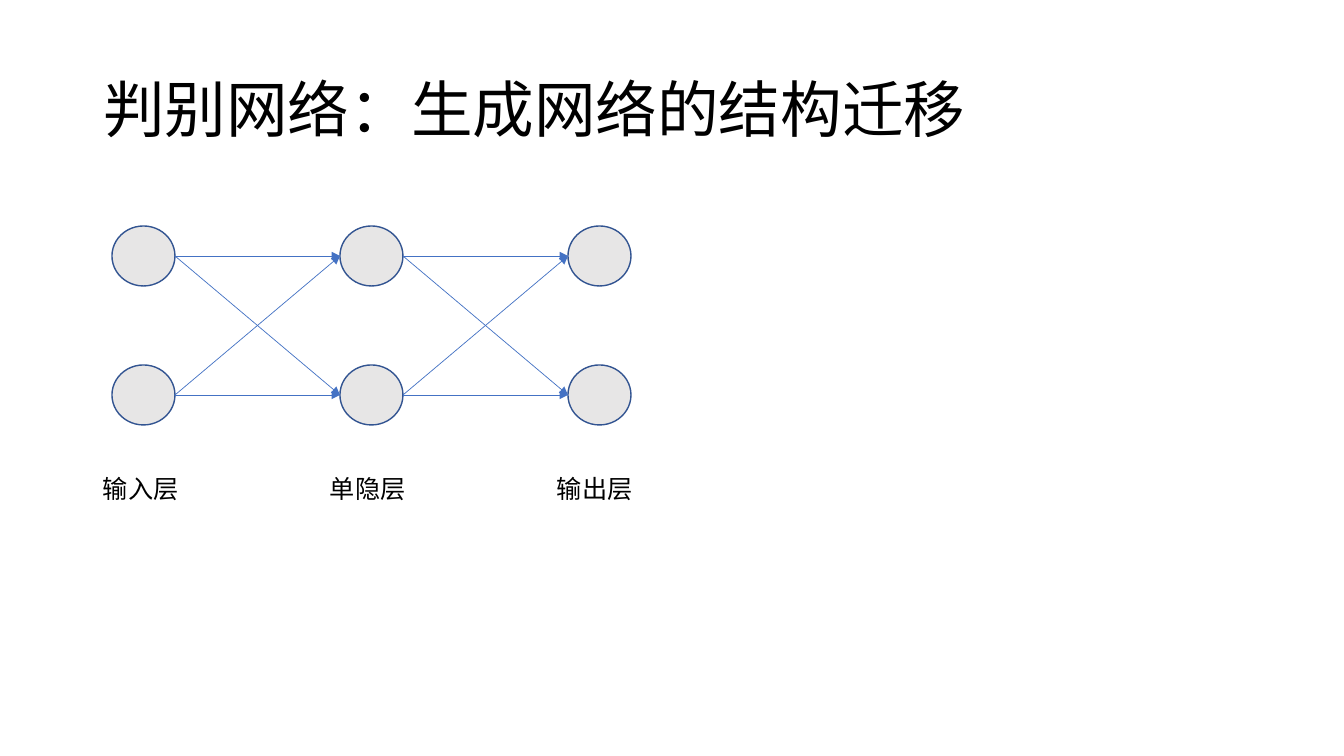
import pptx
import pptx.util
import pptx.dml.color
import pptx.enum.shapes
import pptx.enum.text
import pptx.oxml.ns
import lxml.etree

SCALE = 914400 / 100.8  # EMU in one px
FONT = "Noto Sans CJK SC"
HUES = {"text": "000000", "node": "E7E6E6", "edge": "325491", "link": "4472C4"}
LAYERS = ["输入层", "单隐层", "输出层"]
ROWS = 2


def px(n):
    return pptx.util.Emu(round(n * SCALE))


def hue(key):
    return pptx.dml.color.RGBColor.from_string(HUES[key])


def add_sub(parent, tag, **attrs):
    return lxml.etree.SubElement(parent, pptx.oxml.ns.qn(tag), attrs)


def put_text(shape, text, size, anchor="TOP", wrap=True, space=1.0):
    frame = shape.text_frame
    frame.word_wrap = wrap
    frame.auto_size = pptx.enum.text.MSO_AUTO_SIZE.NONE
    frame.vertical_anchor = getattr(pptx.enum.text.MSO_ANCHOR, anchor)
    para = frame.paragraphs[0]
    para.alignment = pptx.enum.text.PP_ALIGN.LEFT
    para.line_spacing = space
    run = para.add_run()
    run.text = text
    run.font.size = pptx.util.Pt(size)
    run.font.color.rgb = hue("text")
    run.font.name = FONT
    add_sub(run.font._element, "a:ea", typeface=FONT)


def add_title(slide, left, top, width, height):
    title = slide.shapes.title
    title.left, title.top = px(left), px(top)
    title.width, title.height = px(width), px(height)
    put_text(title, "判别网络：生成网络的结构迁移", 44, anchor="MIDDLE", space=0.9)


def add_node(slide, left, top, width, height):
    node = slide.shapes.add_shape(
        pptx.enum.shapes.MSO_SHAPE.OVAL, px(left), px(top), px(width), px(height))
    node.shadow.inherit = False
    node.fill.solid()
    node.fill.fore_color.rgb = hue("node")
    node.line.color.rgb = hue("edge")
    node.line.width = pptx.util.Pt(1)


def add_link(slide, x1, y1, x2, y2):
    link = slide.shapes.add_connector(
        pptx.enum.shapes.MSO_CONNECTOR.STRAIGHT, px(x1), px(y1), px(x2), px(y2))
    link.line.color.rgb = hue("link")
    link.line.width = pptx.util.Pt(0.5)
    add_sub(link.line._get_or_add_ln(), "a:tailEnd", type="triangle")
    add_sub(link._element.spPr, "a:effectLst")


def add_net(slide, left, top, width, height):
    node_w, node_h = 63, 60
    step_x = (width - node_w) // (len(LAYERS) - 1)
    step_y = (height - node_h) // (ROWS - 1)
    xs = [left + step_x * i for i in range(len(LAYERS))]
    ys = [top + step_y * i for i in range(ROWS)]

    # Nodes of each layer
    for x in xs:
        for y in ys:
            add_node(slide, x, y, node_w, node_h)

    # Every node points to all nodes of the next layer
    mids = [y + node_h // 2 for y in ys]
    for x, after in zip(xs, xs[1:]):
        for start in mids:
            for end in mids:
                add_link(slide, x + node_w, start, after, end)


def add_names(slide, left, top, width, height):
    box_w = 103
    step = (width - box_w) // (len(LAYERS) - 1)
    for i, name in enumerate(LAYERS):
        box = slide.shapes.add_textbox(
            px(left + step * i), px(top), px(box_w), px(height))
        put_text(box, name, 18, wrap=False)


def main():
    deck = pptx.Presentation()
    deck.slide_width, deck.slide_height = px(1344), px(756)
    slide = deck.slides.add_slide(deck.slide_layouts[5])
    add_title(slide, 93, 40, 1159, 146)
    add_net(slide, 112, 226, 519, 199)
    add_names(slide, 93, 468, 557, 40)
    deck.save("out.pptx")


if __name__ == "__main__":
    main()
